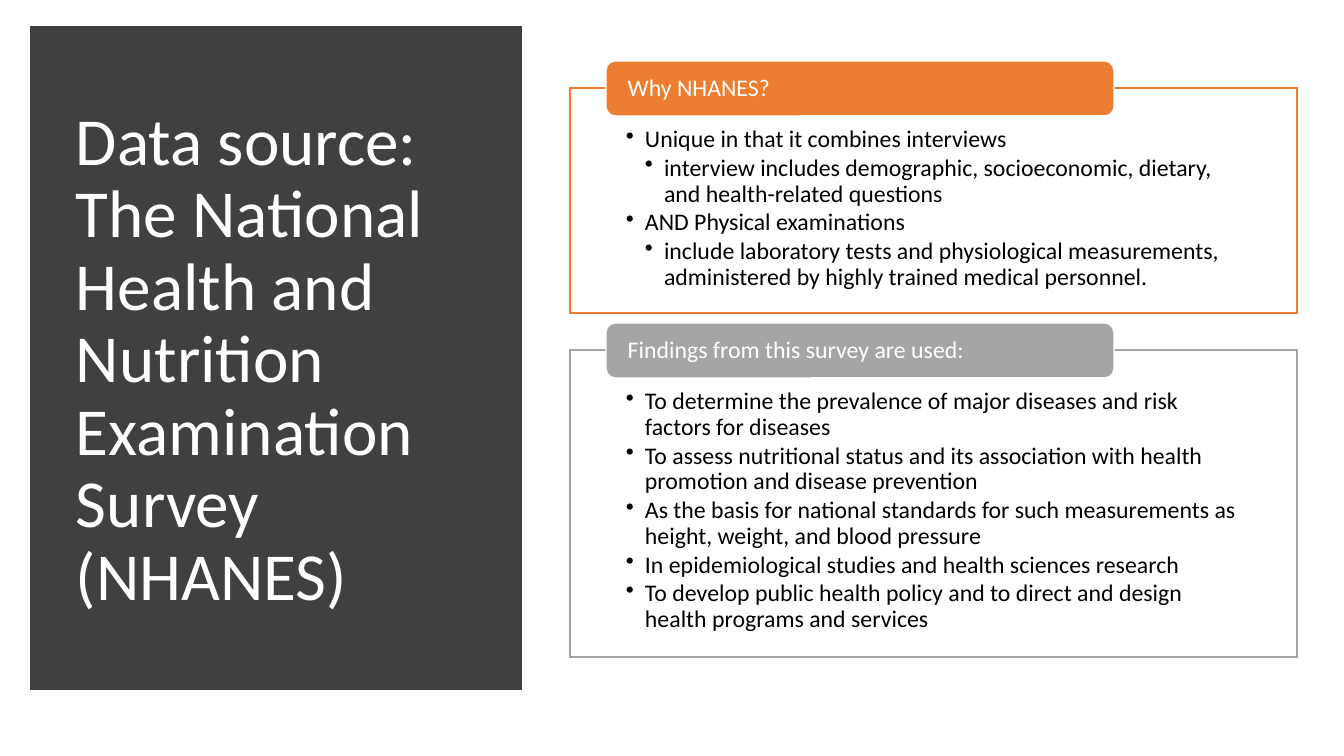
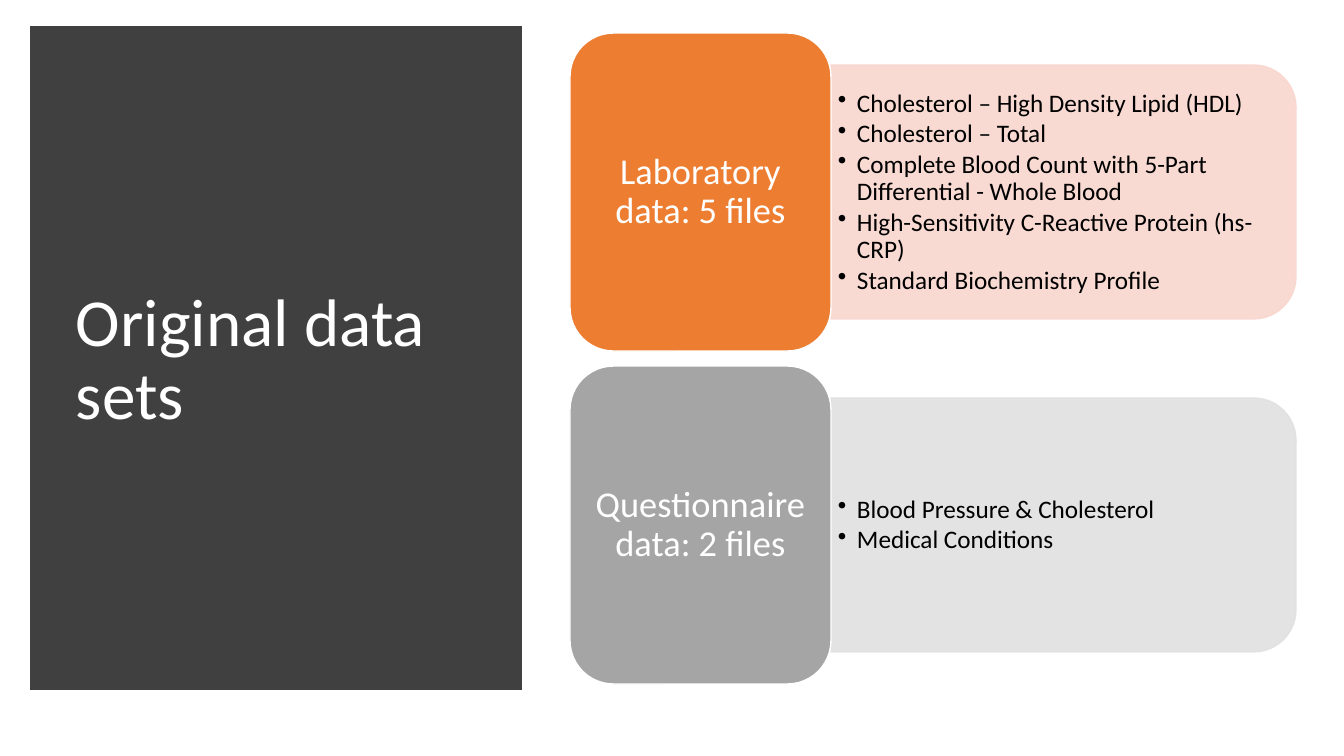
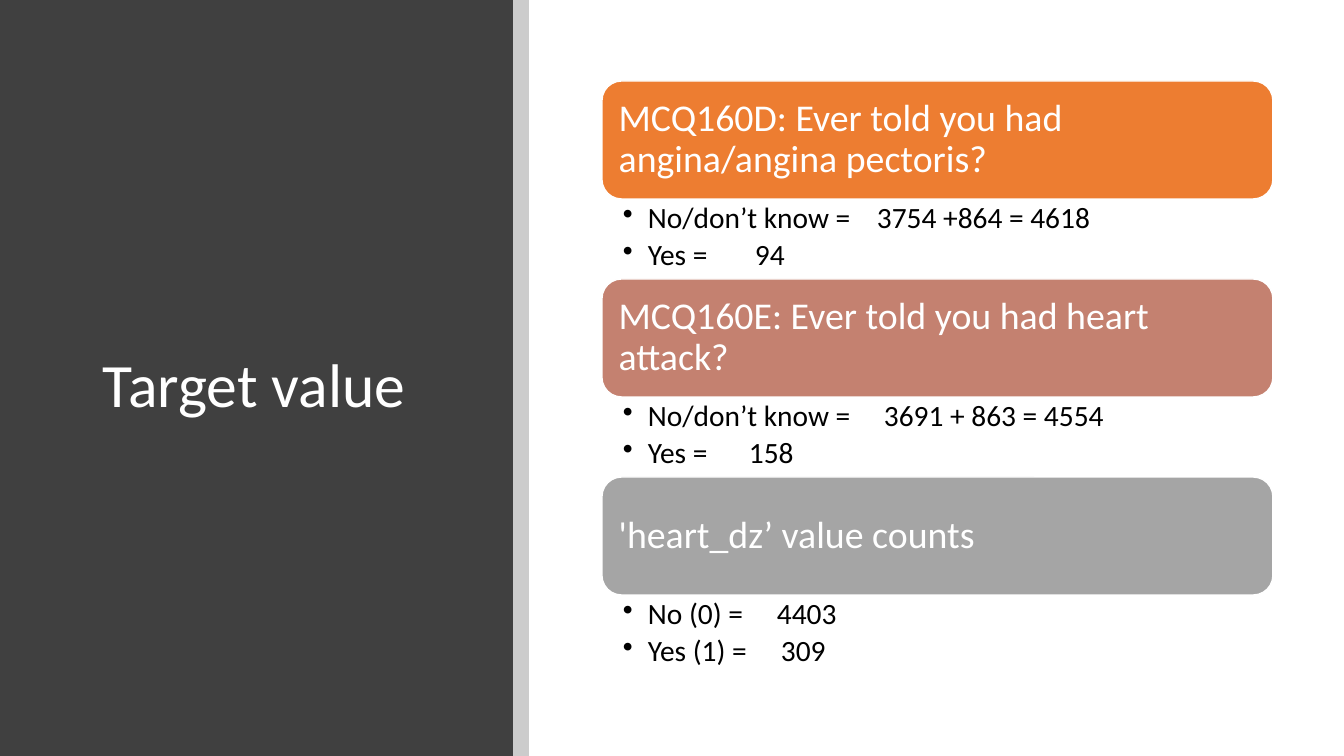
from dataclasses import dataclass

from lxml import etree
from pptx import Presentation
from pptx.dml.color import RGBColor
from pptx.enum.shapes import MSO_SHAPE as Preset
from pptx.enum.text import MSO_ANCHOR as Anchor, PP_ALIGN as Align
from pptx.oxml.ns import qn
from pptx.util import Pt

PX = 12192000 / 1344


@dataclass(frozen=True)
class Theme:
    font: str = "Calibri"
    white: str = "FFFFFF"
    black: str = "000000"
    charcoal: str = "404040"
    orange: str = "ED7D31"
    rose: str = "C48170"
    gray: str = "A5A5A5"
    pale_orange: str = "F8D7CE"
    pale_gray: str = "E1E1E1"
    title: int = 48
    small_title: int = 44
    survey: int = 17
    files: int = 18
    file_head: int = 26
    counts: int = 21
    counts_head: int = 27


@dataclass(frozen=True)
class Entry:
    text: str
    level: int = 1
    tab: int = 0


THEME = Theme()


def px(length):
    return round(length * PX)


def add_block(page, preset, box, fill, line=None, weight=1, opacity=100, line_opacity=100):
    shape = page.shapes.add_shape(preset, *map(px, box))
    shape.shadow.inherit = False
    shape.fill.solid()
    shape.fill.fore_color.rgb = RGBColor.from_string(fill)
    properties = shape._element.spPr
    if line:
        shape.line.color.rgb = RGBColor.from_string(line)
        shape.line.width = Pt(weight)
        etree.SubElement(properties.find(qn("a:ln")), qn("a:miter"), lim="800000")
    else:
        shape.line.fill.background()
    color = f"{qn('a:solidFill')}/{qn('a:srgbClr')}"
    for place, percent in ((color, opacity), (f"{qn('a:ln')}/{color}", line_opacity)):
        if percent < 100:
            etree.SubElement(properties.find(place), qn("a:alpha"), val=str(percent * 1000))
    return shape


def prepare_frame(shape, insets, anchor):
    """Set wrapping, anchor and insets (left, top, right, bottom)."""
    frame = shape.text_frame
    frame.word_wrap = True
    frame.vertical_anchor = anchor
    frame.margin_left, frame.margin_top, frame.margin_right, frame.margin_bottom = map(px, insets)
    return frame


def style_para(para, size, color, align=Align.LEFT):
    para.alignment = align
    para.line_spacing = 0.9
    for span in para.runs:
        span.font.name = THEME.font
        span.font.size = Pt(size)
        span.font.color.rgb = RGBColor.from_string(color)


def write_label(shape, text, size, insets, align=Align.LEFT):
    frame = prepare_frame(shape, insets, Anchor.MIDDLE)
    frame.text = text
    style_para(frame.paragraphs[0], size, THEME.white, align)


def write_bullets(shape, entries, size, insets, indent, gap, anchor=Anchor.TOP):
    frame = prepare_frame(shape, insets, anchor)
    for index, entry in enumerate(entries):
        para = frame.add_paragraph() if index else frame.paragraphs[0]
        para.text = entry.text
        para.level = entry.level
        para.space_after = Pt(gap)
        properties = para._p.get_or_add_pPr()
        properties.set("marL", str(px(indent * entry.level)))
        properties.set("indent", str(px(-indent)))
        etree.SubElement(properties, qn("a:buChar"), char="•")
        if entry.tab:
            tabs = etree.SubElement(properties, qn("a:tabLst"))
            etree.SubElement(tabs, qn("a:tab"), pos=str(px(entry.tab)), algn="l")
        style_para(para, size, THEME.black)


def add_text_box(page, box):
    return page.shapes.add_textbox(*map(px, box))


def add_title(page, text, box=(66, 71, 419, 580), size=THEME.title):
    write_label(add_text_box(page, box), text, size, (10, 5, 10, 5))


def add_page(deck):
    return deck.slides.add_slide(deck.slide_layouts[6])


def add_panel_page(deck, title):
    """Add a page with the framed dark title panel on the left."""
    page = add_page(deck)
    add_block(page, Preset.RECTANGLE, (37, 33, 478, 650), THEME.charcoal, THEME.charcoal, 10)
    add_title(page, title)
    return page


def add_survey_section(page, top, height, color, heading, entries):
    frame = add_block(page, Preset.RECTANGLE, (570, top, 727, height), THEME.white, color, opacity=90)
    write_bullets(frame, entries, THEME.survey, (56, 39, 56, 13), 19, 2.2)
    tab = add_block(page, Preset.ROUNDED_RECTANGLE, (606, top - 27, 508, 55), color, THEME.white)
    write_label(tab, heading, THEME.survey, (19, 0, 19, 0))


def add_file_group(page, top, color, pale, heading, entries):
    """Add a heading block and, to its right, a pale block with rounded far corners."""
    left, width, height = 570, 261, 318
    right, middle = left + width, top + height / 2
    length, depth = 465, 254
    turned = (right + (length - depth) / 2, middle - length / 2, depth, length)
    block = add_block(page, Preset.ROUND_2_SAME_RECTANGLE, turned, pale, pale,
                      opacity=90, line_opacity=90)
    block.rotation = 90
    body = add_text_box(page, (right, middle - 114, 453, 229))
    write_bullets(body, entries, THEME.files, (7, 4, 7, 4), 19, 2.4, Anchor.MIDDLE)
    head = add_block(page, Preset.ROUNDED_RECTANGLE, (left, top, width, height), color, THEME.white)
    write_label(head, heading, THEME.file_head, (11, 5, 11, 5), Align.CENTER)


def add_count_group(page, top, color, heading, entries):
    left, width, height = 602, 671, 118
    head = add_block(page, Preset.ROUNDED_RECTANGLE, (left, top, width, height), color, THEME.white)
    write_label(head, heading, THEME.counts_head, (11, 11, 11, 11))
    body = add_text_box(page, (left, top + height, width, 80))
    write_bullets(body, entries, THEME.counts, (21, 4, 21, 4), 25, 3.9)


def build_source_page(deck):
    page = add_panel_page(
        deck, "Data source: The National Health and Nutrition Examination Survey (NHANES)")
    add_survey_section(page, 88, 225, THEME.orange, "Why NHANES?", [
        Entry("Unique in that it combines interviews"),
        Entry("interview includes demographic, socioeconomic, dietary, "
              "and health-related questions", 2),
        Entry("AND Physical examinations"),
        Entry("include laboratory tests and physiological measurements, "
              "administered by highly trained medical personnel.", 2),
    ])
    add_survey_section(page, 350, 307, THEME.gray, "Findings from this survey are used:", [
        Entry("To determine the prevalence of major diseases and risk factors for diseases"),
        Entry("To assess nutritional status and its association with health "
              "promotion and disease prevention"),
        Entry("As the basis for national standards for such measurements as "
              "height, weight, and blood pressure"),
        Entry("In epidemiological studies and health sciences research"),
        Entry("To develop public health policy and to direct and design "
              "health programs and services"),
    ])


def build_files_page(deck):
    page = add_panel_page(deck, "Original data sets")
    groups = [
        (THEME.orange, THEME.pale_orange, "Laboratory data: 5 files", [
            Entry("Cholesterol – High Density Lipid (HDL)"),
            Entry("Cholesterol – Total"),
            Entry("Complete Blood Count with 5-Part Differential - Whole Blood"),
            Entry("High-Sensitivity C-Reactive Protein (hs-CRP)"),
            Entry("Standard Biochemistry Profile"),
        ]),
        (THEME.gray, THEME.pale_gray, "Questionnaire data: 2 files", [
            Entry("Blood Pressure & Cholesterol"),
            Entry("Medical Conditions"),
        ]),
    ]
    for index, group in enumerate(groups):
        add_file_group(page, 33 + 333 * index, *group)


def build_target_page(deck):
    page = add_page(deck)
    add_block(page, Preset.RECTANGLE, (0, 0, 513, 756), THEME.charcoal)
    add_title(page, "Target value", (93, 90, 368, 596), THEME.small_title)
    add_block(page, Preset.RECTANGLE, (513, 0, 16, 756), THEME.black, opacity=20)
    groups = [
        (THEME.orange, "MCQ160D: Ever told you had angina/angina pectoris?", [
            Entry("No/don’t know =\t3754 +864 = 4618", tab=254),
            Entry("Yes =\t94", tab=132),
        ]),
        (THEME.rose, "MCQ160E: Ever told you had heart attack?", [
            Entry("No/don’t know =\t3691 + 863 = 4554", tab=261),
            Entry("Yes =\t158", tab=126),
        ]),
        (THEME.gray, "'heart_dz’ value counts", [
            Entry("No (0) =\t4403", tab=154),
            Entry("Yes (1) =\t309", tab=158),
        ]),
    ]
    for index, group in enumerate(groups):
        add_count_group(page, 81 + 198 * index, *group)


def main():
    deck = Presentation()
    deck.slide_width, deck.slide_height = px(1344), px(756)
    build_source_page(deck)
    build_files_page(deck)
    build_target_page(deck)
    deck.save("out.pptx")


if __name__ == "__main__":
    main()
